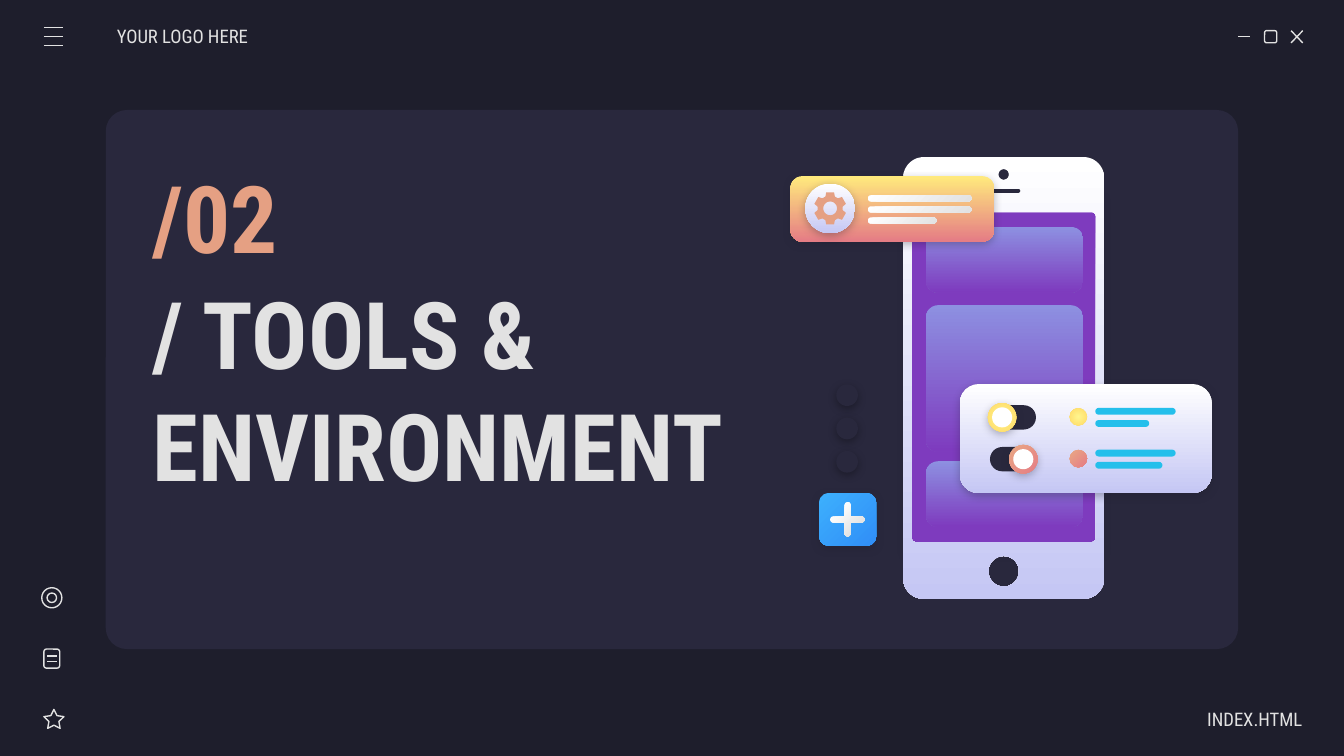
import math

import pptx
import pptx.dml.color
import pptx.enum.shapes
import pptx.enum.text
import pptx.oxml
import pptx.oxml.ns
import pptx.oxml.xmlchemy
import pptx.util

Cm = pptx.util.Cm
RGB = pptx.dml.color.RGBColor
KIND = pptx.enum.shapes.MSO_SHAPE
ALIGN = pptx.enum.text.PP_ALIGN

NIGHT = RGB(0x1E, 0x1E, 0x2C)
PANEL = RGB(0x29, 0x28, 0x3D)
PALE = RGB(0xE2, 0xE2, 0xE2)
PEACH = RGB(0xE5, 0xA0, 0x83)
PURPLE = RGB(0x7E, 0x3B, 0xBE)
LILAC = RGB(0x8D, 0x90, 0xE1)
WHITE = RGB(0xFF, 0xFF, 0xFF)
BLACK = RGB(0x00, 0x00, 0x00)
MIST = RGB(0xC5, 0xC7, 0xF4)
LEMON = RGB(0xFF, 0xEA, 0x7D)
CORAL = RGB(0xE5, 0x7C, 0x85)
CREAM = RGB(0xFF, 0xF6, 0x8E)
GOLD = RGB(0xFF, 0xD9, 0x66)
SALMON = RGB(0xE9, 0xA9, 0x84)
CYAN = RGB(0x24, 0xBF, 0xEB)
SKY = RGB(0x3D, 0xB0, 0xFD)
BLUE = RGB(0x30, 0x8E, 0xF7)

FROST = (WHITE, MIST, 270)
SILVER = (WHITE, PALE, 315)
GLOW = (CREAM, GOLD, None)
BLUSH = (SALMON, CORAL, 315)


def ring(x, y, w, h, r):
    spots = []
    for turn, (cx, cy) in enumerate([(x + w - r, y + h - r), (x + r, y + h - r),
                                     (x + r, y + r), (x + w - r, y + r)]):
        for step in range(13):
            a = math.radians(90 * turn + 7.5 * step)
            spots.append((cx + r * math.cos(a), cy + r * math.sin(a)))
    return spots


def disc(cx, cy, r):
    return ring(cx - r, cy - r, 2 * r, 2 * r, r)


def gear(cx, cy):
    teeth = []
    for mid in range(30, 390, 60):
        for turn, r in [(-22, 0.24), (-14, 0.31), (14, 0.31), (22, 0.24)]:
            a = math.radians(mid + turn)
            teeth.append((cx + r * math.cos(a), cy + r * math.sin(a)))
    return teeth


class Deck:
    font = "Roboto Condensed"
    ink = PALE
    thin = pptx.util.Pt(0.75)

    def __init__(self):
        self.file = pptx.Presentation()
        self.file.slide_width = Cm(25.4)
        self.file.slide_height = Cm(14.29)
        self.slide = self.file.slides.add_slide(self.file.slide_layouts[6])
        self.slide.background.fill.solid()
        self.slide.background.fill.fore_color.rgb = NIGHT
        self.shapes = self.slide.shapes

    def paint(self, shape, fill, shade):
        if fill is None:
            shape.fill.background()
            shape.line.color.rgb = self.ink
            shape.line.width = self.thin
        else:
            shape.line.fill.background()
            if isinstance(fill, RGB):
                shape.fill.solid()
                shape.fill.fore_color.rgb = fill
            else:
                self.blend(shape, *fill)
        shape.shadow.inherit = False
        if shade is not None:
            spot = shape._element.spPr.find(pptx.oxml.ns.qn("a:effectLst"))
            spot.append(pptx.oxml.parse_xml(
                f'<a:outerShdw {pptx.oxml.ns.nsdecls("a")} blurRad="57150" dist="19050" '
                f'dir="5400000" algn="bl" rotWithShape="0"><a:srgbClr val="{shade}">'
                '<a:alpha val="30000"/></a:srgbClr></a:outerShdw>'))

    def blend(self, shape, first, last, angle):
        shape.fill.gradient()
        for stop, tone in zip(shape.fill.gradient_stops, (first, last)):
            stop.color.rgb = tone
        if angle is not None:
            shape.fill.gradient_angle = angle
            return
        grad = shape._element.spPr.find(pptx.oxml.ns.qn("a:gradFill"))
        grad.replace(grad.find(pptx.oxml.ns.qn("a:lin")), pptx.oxml.parse_xml(
            f'<a:path {pptx.oxml.ns.nsdecls("a")} path="circle">'
            '<a:fillToRect l="50000" t="50000" r="50000" b="50000"/></a:path>'))

    def shape(self, kind, x, y, w, h, fill=None, shade=None):
        item = self.shapes.add_shape(kind, Cm(x), Cm(y), Cm(w), Cm(h))
        self.paint(item, fill, shade)
        return item

    def box(self, x, y, w, h, r, fill=None, shade=None):
        item = self.shape(KIND.ROUNDED_RECTANGLE, x, y, w, h, fill, shade)
        item.adjustments[0] = r / min(w, h)

    def bar(self, x, y, w, h, fill):
        self.box(x, y, w, h, min(w, h) / 2, fill)

    def dot(self, cx, cy, d, fill=None, shade=None):
        self.shape(KIND.OVAL, cx - d / 2, cy - d / 2, d, d, fill, shade)

    def line(self, x, y, to_x, to_y):
        item = self.shapes.add_connector(
            pptx.enum.shapes.MSO_CONNECTOR.STRAIGHT, Cm(x), Cm(y), Cm(to_x), Cm(to_y))
        item.line.color.rgb = self.ink
        item.line.width = self.thin
        item._element.spPr.append(pptx.oxml.xmlchemy.OxmlElement("a:effectLst"))

    def form(self, rings, fill):
        loops = [[(Cm(x), Cm(y)) for x, y in loop] for loop in rings]
        pen = self.shapes.build_freeform(*loops[0][0])
        pen.add_line_segments(loops[0][1:], close=True)
        for loop in loops[1:]:
            pen.move_to(*loop[0])
            pen.add_line_segments(loop[1:], close=True)
        self.paint(pen.convert_to_shape(), fill, None)

    def text(self, words, x, y, w, h, size, tone=PALE, bold=False,
             align=ALIGN.LEFT, left=0.25, right=0.25):
        frame = self.shapes.add_textbox(Cm(x), Cm(y), Cm(w), Cm(h)).text_frame
        frame.word_wrap = True
        frame.vertical_anchor = pptx.enum.text.MSO_ANCHOR.MIDDLE
        frame.margin_left, frame.margin_right = Cm(left), Cm(right)
        frame.margin_top = frame.margin_bottom = Cm(0.25)
        frame.text = words
        frame.paragraphs[0].alignment = align
        font = frame.paragraphs[0].runs[0].font
        font.name, font.size, font.bold = self.font, pptx.util.Pt(size), bold
        font.color.rgb = tone


def main():
    deck = Deck()
    deck.box(2, 2.08, 21.4, 10.19, 0.4, PANEL)

    deck.line(23.4, 0.69, 23.63, 0.69)
    deck.box(23.9, 0.58, 0.23, 0.23, 0.04)
    deck.line(24.4, 0.58, 24.62, 0.81)
    deck.line(24.62, 0.58, 24.4, 0.81)
    deck.text("YOUR LOGO HERE", 2.21, 0.3, 2.97, 0.76, 10, left=0)
    for y in (0.52, 0.69, 0.86):
        deck.line(0.83, y, 1.2, y)

    deck.shape(KIND.STAR_5_POINT, 0.83, 13.41, 0.38, 0.36).adjustments[0] = 0.25
    deck.box(0.83, 12.27, 0.3, 0.36, 0.05)
    for y in (12.4, 12.5):
        deck.line(0.89, y, 1.07, y)
    for size in (0.38, 0.18):
        deck.dot(0.98, 11.3, size)
    deck.text("INDEX.HTML", 21.64, 13.21, 2.97, 0.76, 10, align=ALIGN.RIGHT, right=0)

    deck.text("/ TOOLS & ENVIRONMENT", 2.64, 5.26, 11.51, 4.17, 50, bold=True)
    deck.text("/02", 2.64, 2.92, 4.52, 2.34, 50, PEACH, bold=True)

    deck.box(17.12, 3.73, 3.71, 6.68, 0, PURPLE, NIGHT)
    for y, high in ((4.29, 1.24), (5.77, 2.77), (8.72, 1.24)):
        deck.box(17.5, y, 2.97, high, 0.23, (LILAC, PURPLE, 270))
    deck.form([ring(17.07, 2.97, 3.8, 8.35, 0.39), disc(18.97, 3.3, 0.1),
               ring(18.66, 3.57, 0.63, 0.08, 0.04), ring(17.23, 4.01, 3.48, 6.24, 0.08),
               disc(18.97, 10.8, 0.29)], FROST)

    deck.box(14.94, 3.33, 3.85, 1.24, 0.23, (LEMON, CORAL, 270), NIGHT)
    deck.dot(15.69, 3.94, 0.94, FROST, NIGHT)
    deck.form([gear(15.69, 3.94), disc(15.69, 3.94, 0.13)], PEACH)
    for row, wide in enumerate((1.96, 1.96, 1.3)):
        deck.bar(16.4, 3.69 + 0.21 * row, wide, 0.12, SILVER)

    deck.box(18.14, 7.26, 4.76, 2.06, 0.36, FROST, NIGHT)
    for row, (knob, fill, wide) in enumerate(((18.94, GLOW, 1.02), (19.34, BLUSH, 1.27))):
        y = 7.89 + 0.79 * row
        deck.bar(18.71, y - 0.23, 0.87, 0.46, PANEL)
        deck.dot(knob, y, 0.54, fill, NIGHT)
        deck.dot(knob, y, 0.38, WHITE)
        deck.dot(20.38, y - 0.01, 0.33, fill)
        deck.bar(20.7, y - 0.18, 1.52, 0.13, CYAN)
        deck.bar(20.7, y + 0.05, wide, 0.13, CYAN)

    deck.box(15.48, 9.32, 1.08, 1, 0.18, (SKY, BLUE, 315), NIGHT)
    deck.bar(15.69, 9.76, 0.65, 0.12, SILVER)
    deck.bar(15.96, 9.49, 0.12, 0.65, SILVER)
    for row in range(3):
        deck.dot(16.01, 7.47 + 0.63 * row, 0.41, PANEL, BLACK)

    deck.file.save("out.pptx")


if __name__ == "__main__":
    main()
